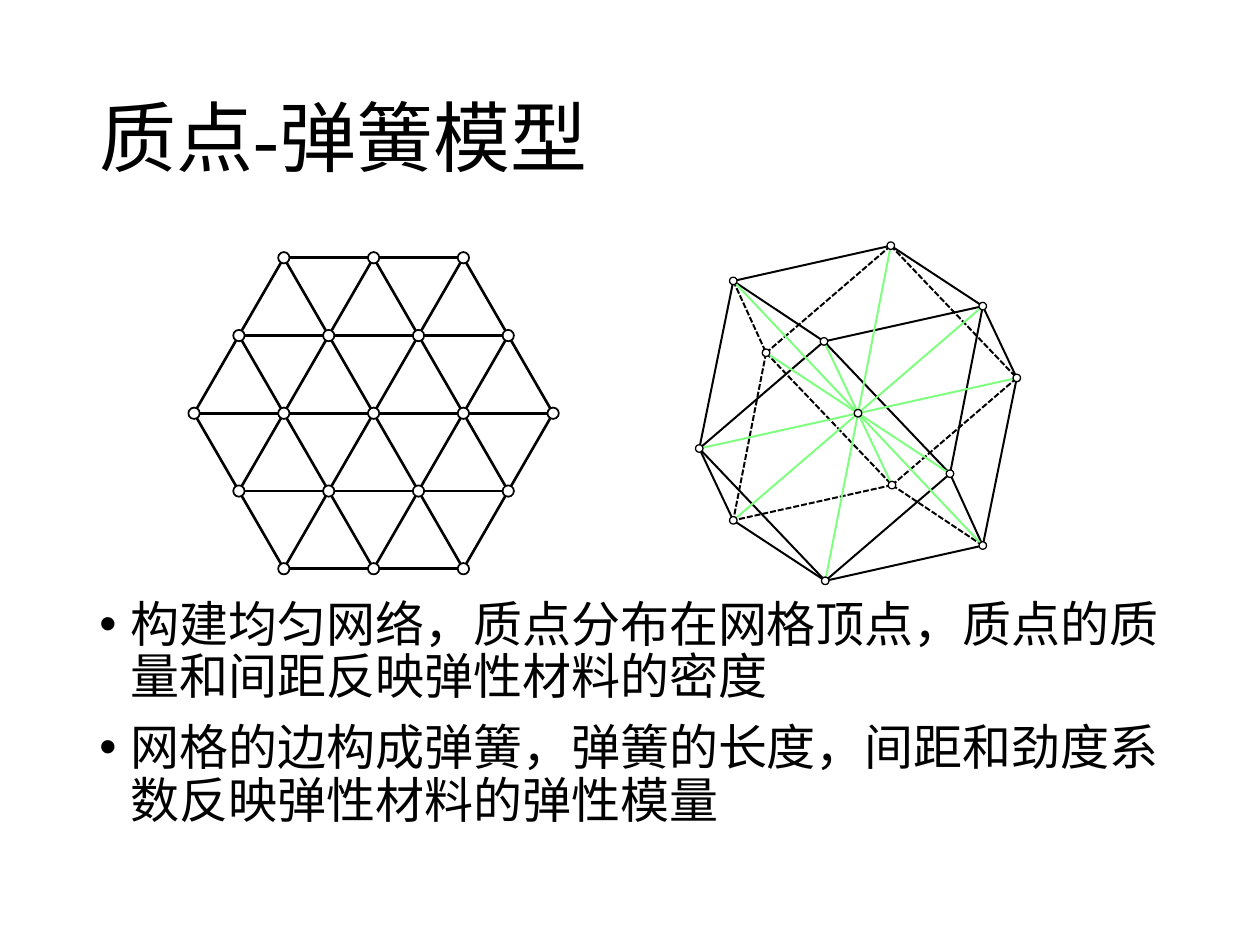
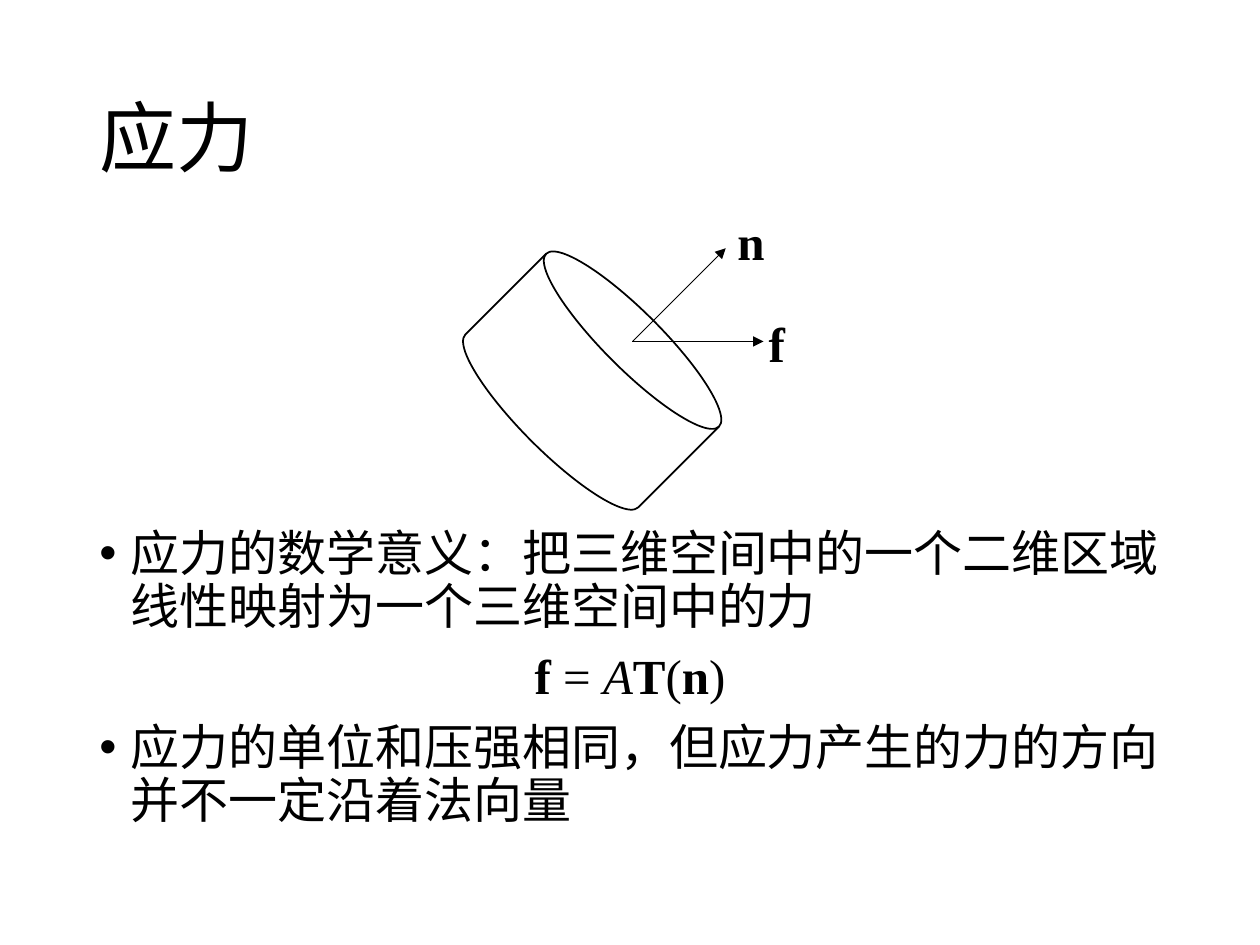
from math import cos, radians, sin

from lxml import etree
from pptx import Presentation
from pptx import util as u
from pptx.dml.color import RGBColor
from pptx.enum import dml, shapes, text
from pptx.oxml.ns import qn

PX = 9144
COLORS = {"ink": "000000", "paper": "FFFFFF", "spoke": "7FFF7F"}
SERIF = "Times New Roman"
SANS = "Noto Sans CJK SC"
TITLE = (69, 40, 862, 145)


def px(*sizes):
    return [u.Emu(round(size * PX)) for size in sizes]


def rgb(name):
    return RGBColor.from_string(COLORS[name])


def add_tag(parent, name, **attrs):
    return etree.SubElement(parent, qn(name), attrs)


def add_text(slide, box, paras, face=SERIF, size=28, anchor="TOP",
             wrap=True, lines=None, bullet=False):
    frame = slide.shapes.add_textbox(*px(*box)).text_frame
    frame.word_wrap = wrap
    frame.vertical_anchor = text.MSO_ANCHOR[anchor]
    if not wrap:
        frame.auto_size = text.MSO_AUTO_SIZE.SHAPE_TO_FIT_TEXT
    for index, runs in enumerate(paras):
        para = frame.paragraphs[0] if index == 0 else frame.add_paragraph()
        plain = isinstance(runs, str)
        if bullet and plain:
            props = para._p.get_or_add_pPr()
            props.set("marL", str(25 * PX))
            props.set("indent", str(-25 * PX))
            add_tag(props, "a:buFont", typeface="Arial")
            add_tag(props, "a:buChar", char="•")
        if not plain:
            para.alignment = text.PP_ALIGN.CENTER
        if lines:
            para.line_spacing = lines
        if index:
            para.space_before = u.Pt(10)
        for words, style in [(runs, "")] if plain else runs:
            run = para.add_run()
            run.text = words
            font = run.font
            font.size = u.Pt(size)
            font.name = face if plain else SERIF
            font.bold = "b" in style
            font.italic = "i" in style
            font.color.rgb = rgb("ink")
            add_tag(run._r.get_or_add_rPr(), "a:ea", typeface=SANS)


def add_title(slide, words, face):
    add_text(slide, TITLE, [words], face=face, size=44, anchor="MIDDLE", lines=0.9)


def add_body(slide, top, height, paras, face):
    left, _, width, _ = TITLE
    add_text(slide, (left, top, width, height), paras, face=face, lines=0.9, bullet=True)


def add_line(host, start, end, weight, color="ink", dashed=False, arrow=False):
    line = host.shapes.add_connector(shapes.MSO_CONNECTOR.STRAIGHT, *px(*start, *end))
    line.line.color.rgb = rgb(color)
    line.line.width = u.Pt(weight)
    if dashed:
        line.line.dash_style = dml.MSO_LINE.SQUARE_DOT
    if arrow:
        add_tag(line.line._get_or_add_ln(), "a:tailEnd", type="triangle")
    add_tag(line._element.spPr, "a:effectLst")


def add_solid(host, kind, box, weight):
    shape = host.shapes.add_shape(shapes.MSO_SHAPE[kind], *px(*box))
    shape.shadow.inherit = False
    shape.fill.solid()
    shape.fill.fore_color.rgb = rgb("paper")
    shape.line.color.rgb = rgb("ink")
    shape.line.width = u.Pt(weight)
    return shape


def add_nodes(host, points, size, weight):
    for x, y in points:
        add_solid(host, "OVAL", (x - size / 2, y - size / 2, size, size), weight)


def blend(one, two):
    return tuple((a + b) / 2 for a, b in zip(one, two))


def draw_mesh(slide, box):
    left, top, width, height = box
    group = slide.shapes.add_group_shape()
    hub = (left + width / 2, top + height / 2)
    reach = width / 2
    angles = [radians(60 * k) for k in range(6)]
    rim = [(hub[0] + reach * cos(a), hub[1] + reach * sin(a)) for a in angles]
    mids = [blend(rim[k], rim[k - 1]) for k in range(6)]
    sides = [(rim[k], rim[k - 1]) for k in range(6)]
    spans = [(rim[k], rim[k + 3]) for k in range(3)]
    chords = [(mids[k], mids[k - 2]) for k in range(6)]
    for start, end in spans + sides + chords:
        add_line(group, start, end, 1.5)
    inner = [blend(hub, point) for point in rim]
    add_nodes(group, [hub] + inner + mids + rim, 9, 1)


def draw_cage(slide, box):
    left, top, width, height = box
    group = slide.shapes.add_group_shape()
    hub = (left + width / 2, top + height / 2)
    arms = {"a": (99, -85), "b": (26, -133), "c": (-99, -105),
            "d": (-27, -57), "e": (126, -28), "f": (-73, -48)}
    points = {}
    for name, (dx, dy) in arms.items():
        points[name] = (hub[0] + dx, hub[1] + dy)
        points[name.upper()] = (hub[0] - dx, hub[1] - dy)
    front = "ab bc cd da aF ae cE dE dF FB FC EB eC AE AB BC"
    back = "be bf cf eD fD fA CD DA"
    for edges, dashed in ((front, False), (back, True)):
        for start, end in edges.split():
            add_line(group, points[start], points[end], 1.13, dashed=dashed)
    for point in points.values():
        add_line(group, hub, point, 1.13, color="spoke")
    add_nodes(group, [hub, *points.values()], 6, 0.75)


def draw_drum(slide, box):
    left, top, _, _ = box
    drum = add_solid(slide, "FLOWCHART_DIRECT_ACCESS_STORAGE", box, 1)
    drum.rotation = 315
    start = (left + 100, top + 66)
    for dx, dy in ((74, -74), (104, 0)):
        add_line(slide, start, (start[0] + dx, start[1] + dy), 0.5, arrow=True)
    for name, dx, dy, width in (("n", 173, -42, 42), ("f", 198, 39, 33)):
        label = (left + dx, top + dy, width, 57)
        add_text(slide, label, [[(name, "b")]], wrap=False)


def build_springs(slide):
    add_title(slide, "质点-弹簧模型", SERIF)
    add_body(slide, 471, 205, [
        "构建均匀网络，质点分布在网格顶点，质点的质量和间距反映弹性材料的密度",
        "网格的边构成弹簧，弹簧的长度，间距和劲度系数反映弹性材料的弹性模量",
    ], SERIF)
    draw_mesh(slide, (154, 205, 285, 246))
    draw_cage(slide, (555, 195, 252, 266))


def build_stress(slide):
    add_title(slide, "应力", SANS)
    add_body(slide, 415, 260, [
        "应力的数学意义：把三维空间中的一个二维区域线性映射为一个三维空间中的力",
        [("f", "b"), (" = ", ""), ("A", "i"), ("T", "b"),
         ("(", ""), ("n", "b"), (")", "")],
        "应力的单位和压强相同，但应力产生的力的方向并不一定沿着法向量",
    ], SANS)
    draw_drum(slide, (402, 205, 136, 194))


def main():
    deck = Presentation()
    deck.slide_width, deck.slide_height = px(1000, 750)
    for build in (build_springs, build_stress):
        build(deck.slides.add_slide(deck.slide_layouts[6]))
    deck.save("out.pptx")


if __name__ == "__main__":
    main()
